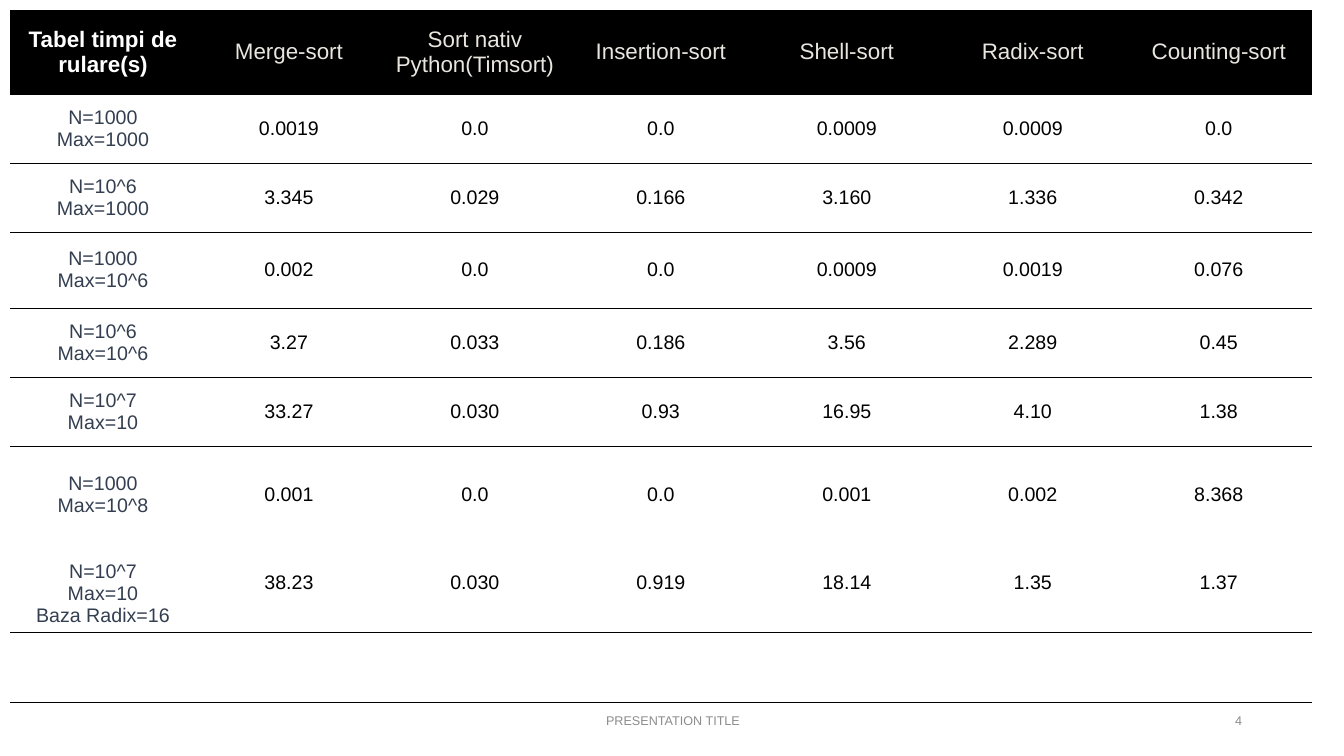
"""Build the slide with the table of sorting times."""
from lxml import etree
from pptx import Presentation
from pptx.dml.color import RGBColor
from pptx.enum.text import MSO_ANCHOR, PP_ALIGN
from pptx.oxml.ns import qn
from pptx.util import Pt

HEADER = ["Tabel timpi de rulare(s)", "Merge-sort", "Sort nativ Python(Timsort)",
          "Insertion-sort", "Shell-sort", "Radix-sort", "Counting-sort"]
TIMES = [
    ["N=1000\nMax=1000", "0.0019", "0.0", "0.0", "0.0009", "0.0009", "0.0"],
    ["N=10^6\nMax=1000", "3.345", "0.029", "0.166", "3.160", "1.336", "0.342"],
    ["N=1000\nMax=10^6", "0.002", "0.0", "0.0", "0.0009", "0.0019", "0.076"],
    ["N=10^6\nMax=10^6", "3.27", "0.033", "0.186", "3.56", "2.289", "0.45"],
    ["N=10^7\nMax=10", "33.27", "0.030", "0.93", "16.95", "4.10", "1.38"],
    ["N=1000\nMax=10^8\nN=10^7\nMax=10\nBaza Radix=16", "0.001\n38.23", "0.0\n0.030",
     "0.0\n0.919", "0.001\n18.14", "0.002\n1.35", "8.368\n1.37"],
    [""] * 7,
]
FOOTERS = [
    ("PRESENTATION TITLE", (446, 701, 454, 40), PP_ALIGN.CENTER),
    ("4", (950, 701, 302, 40), PP_ALIGN.RIGHT),
]

SLIDE_SIZE = (1344, 756)
TABLE_LEFT, TABLE_TOP, COLUMN_WIDTH = 10, 10, 186
ROW_HEIGHTS = [84, 69, 69, 76, 69, 69, 186, 70]
DOUBLE_ROW = 6
LINE = 22
CELL_MARGIN = 5
PLAIN_STYLE = "{2D5ABB26-0587-4C30-8999-92F81FD0307C}"

BLACK = RGBColor(0x00, 0x00, 0x00)
WHITE = RGBColor(0xFF, 0xFF, 0xFF)
CREAM = RGBColor(0xE9, 0xE6, 0xDF)
SLATE = RGBColor(0x33, 0x3F, 0x50)
GREY = RGBColor(0x8C, 0x8C, 0x8C)


def px(length):
    return round(length * 914400 / 100.8)


def write(frame, text, size, color, align=PP_ALIGN.CENTER, bold=False):
    frame.text = text
    for paragraph in frame.paragraphs:
        paragraph.alignment = align
        for run in paragraph.runs:
            run.font.name = "Arial"
            run.font.size = Pt(size)
            run.font.bold = bold
            run.font.color.rgb = color


def rule_below(cell):
    border = etree.Element(qn("a:lnB"), w=str(Pt(0.5)))
    fill = etree.SubElement(border, qn("a:solidFill"))
    etree.SubElement(fill, qn("a:srgbClr"), val=str(BLACK))
    cell._tc.get_or_add_tcPr().insert(0, border)


def add_times(slide):
    rows = [HEADER] + TIMES
    table = slide.shapes.add_table(
        len(rows), len(HEADER), px(TABLE_LEFT), px(TABLE_TOP),
        px(COLUMN_WIDTH * len(HEADER)), px(sum(ROW_HEIGHTS))).table
    table.first_row = table.horz_banding = False
    table._tbl.tblPr.find(qn("a:tableStyleId")).text = PLAIN_STYLE
    for column in table.columns:
        column.width = px(COLUMN_WIDTH)
    for r, texts in enumerate(rows):
        table.rows[r].height = px(ROW_HEIGHTS[r])
        for c, text in enumerate(texts):
            cell = table.cell(r, c)
            cell.vertical_anchor = MSO_ANCHOR.MIDDLE
            if r == 0:
                cell.fill.solid()
                cell.fill.fore_color.rgb = BLACK
                write(cell.text_frame, text, 16, CREAM if c else WHITE, bold=c == 0)
            else:
                cell.fill.background()
                write(cell.text_frame, text, 14, BLACK if c else SLATE)
            rule_below(cell)
    for c in range(len(HEADER)):
        cell = table.cell(DOUBLE_ROW, c)
        second, gap = (1, 3 * LINE) if c else (2, 2 * LINE)
        cell.text_frame.paragraphs[second].space_before = px(gap)
    table.cell(DOUBLE_ROW, 0).margin_top = px(CELL_MARGIN + LINE)


def add_footers(slide):
    for text, box, align in FOOTERS:
        frame = slide.shapes.add_textbox(*map(px, box)).text_frame
        frame.word_wrap = True
        frame.vertical_anchor = MSO_ANCHOR.MIDDLE
        write(frame, text, 9, GREY, align)


def main():
    deck = Presentation()
    deck.slide_width, deck.slide_height = map(px, SLIDE_SIZE)
    slide = deck.slides.add_slide(deck.slide_layouts[6])
    add_times(slide)
    add_footers(slide)
    deck.save("out.pptx")


if __name__ == "__main__":
    main()
